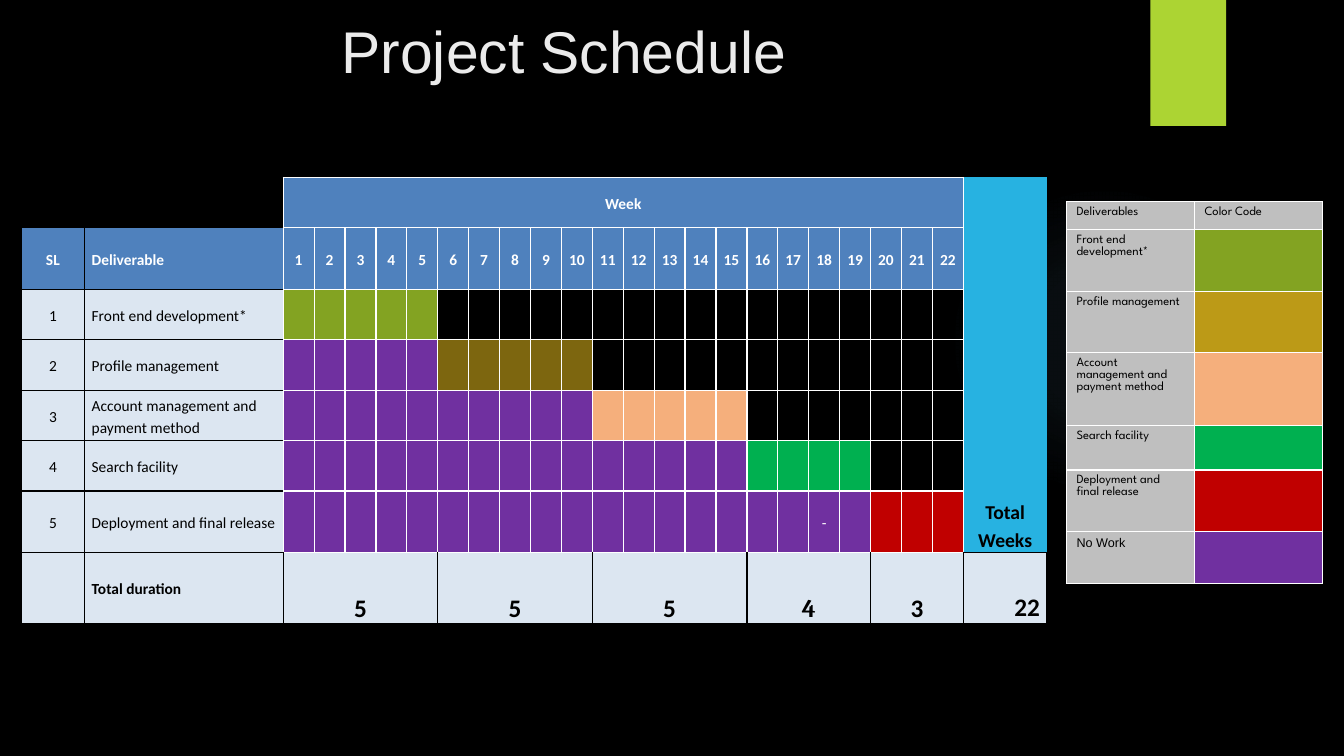
import lxml.etree
import pptx
import pptx.dml.color
import pptx.enum.shapes
import pptx.enum.text
import pptx.oxml
import pptx.oxml.ns
import pptx.util

Pt = pptx.util.Pt
ALIGN = pptx.enum.text.PP_ALIGN
ANCHOR = pptx.enum.text.MSO_ANCHOR
SHAPE = pptx.enum.shapes.MSO_SHAPE
rgb = pptx.dml.color.RGBColor.from_string
qn = pptx.oxml.ns.qn

COLORS = {
    "black": "000000", "white": "FFFFFF", "title": "EBEBEB", "accent": "ACD433",
    "glow": "7AC4F0", "header": "4F81BD", "total": "27B2E1", "label": "DCE6F1",
    "legend": "BFBFBF", "green": "83A322", "brown": "7D660F", "gold": "BC9A17",
    "peach": "F5AF7C", "emerald": "00B050", "red": "C00000", "idle": "7030A0",
}
# Border colours in the order left, right, top, bottom
WHITE = ["white"] * 4
BLACK = ["black"] * 4
NAME_EDGES = ["black", "white", "black", "black"]
SUM_EDGES = ["black", "black", "white", "black"]


def paint(cell, fill, edges):
    if fill:
        cell.fill.solid()
        cell.fill.fore_color.rgb = rgb(COLORS[fill])
    else:
        cell.fill.background()
    properties = cell._tc.get_or_add_tcPr()
    for place, (side, edge) in enumerate(zip("LRTB", edges)):
        line = lxml.etree.Element(qn(f"a:ln{side}"), w=str(Pt(1)))
        if edge:
            solid = lxml.etree.SubElement(line, qn("a:solidFill"))
            lxml.etree.SubElement(solid, qn("a:srgbClr"), val=COLORS[edge])
        else:
            lxml.etree.SubElement(line, qn("a:noFill"))
        properties.insert(place, line)


def write(cell, text, size=11, color="black", bold=False, align=ALIGN.CENTER,
          anchor=ANCHOR.MIDDLE, font="Calibri", spacing=1.15):
    cell.vertical_anchor = anchor
    if spacing:
        cell.margin_left = cell.margin_right = Pt(5)
        cell.margin_top = cell.margin_bottom = 0
    paragraph = cell.text_frame.paragraphs[0]
    paragraph.text = text
    paragraph.alignment = align
    paragraph.line_spacing = spacing
    run = paragraph.runs[0].font
    run.name, run.size, run.bold = font, Pt(size), bold
    run.color.rgb = rgb(COLORS[color])


presentation = pptx.Presentation()
presentation.slide_width, presentation.slide_height = Pt(960), Pt(540)
slide = presentation.slides.add_slide(presentation.slide_layouts[6])
slide.background.fill.solid()
slide.background.fill.fore_color.rgb = rgb(COLORS["black"])

# Backdrop: faint glow and accent bar
glow = slide.shapes.add_shape(SHAPE.OVAL, Pt(677.5), Pt(131.8), Pt(221.8), Pt(221.8))
accent = slide.shapes.add_shape(SHAPE.RECTANGLE, Pt(821.8), 0, Pt(54), Pt(90))
for decoration in (glow, accent):
    decoration.shadow.inherit = False
    decoration.line.fill.background()
accent.fill.solid()
accent.fill.fore_color.rgb = rgb(COLORS["accent"])
stops = "".join(
    f'<a:gs pos="{position}000"><a:srgbClr val="{COLORS["glow"]}">'
    f'<a:alpha val="{alpha}000"/></a:srgbClr></a:gs>'
    for position, alpha in ((0, 7), (36, 6), (69, 0)))
glow._element.spPr.find(qn("a:prstGeom")).addnext(pptx.oxml.parse_xml(
    f'<a:gradFill xmlns:a="http://schemas.openxmlformats.org/drawingml/2006/main">'
    f'<a:gsLst>{stops}</a:gsLst><a:path path="circle">'
    f'<a:fillToRect l="50000" t="50000" r="50000" b="50000"/></a:path></a:gradFill>'))

# Title
title = slide.shapes.add_textbox(Pt(236.9), Pt(7.2), Pt(388.8), Pt(55.4)).text_frame
title.word_wrap = True
title.text = "Project Schedule"
title_font = title.paragraphs[0].runs[0].font
title_font.name, title_font.size = "Arial", Pt(42)
title_font.color.rgb = rgb(COLORS["title"])

# Schedule: deliverable, first week, last week, colour, font of its total
phases = [
    ("Front end development*", 1, 5, "green", "Calibri"),
    ("Profile management", 6, 10, "brown", "Calibri"),
    ("Account management and payment method", 11, 15, "peach", "Calibri"),
    ("Search facility", 16, 19, "emerald", "Cambria"),
    ("Deployment and final release", 20, 22, "red", "Calibri"),
]
WEEKS = 22
TOTAL_COLUMN = WEEKS + 2
TOTAL_ROW = len(phases) + 2
schedule_widths = [45.4, 141.8] + [22.1] * WEEKS + [59.8]
schedule_heights = [36, 44, 36, 36, 36, 36, 44, 51]
schedule = slide.shapes.add_table(
    len(schedule_heights), len(schedule_widths), Pt(15.1), Pt(126.7),
    Pt(sum(schedule_widths)), Pt(sum(schedule_heights))).table

# Legend: label, colour
legend_entries = [
    ("Front end development*", "green"), ("Profile management", "gold"),
    ("Account management and payment method", "peach"), ("Search facility", "emerald"),
    ("Deployment and final release", "red"), ("No Work", "idle"),
]
legend_widths = [91.4, 91.4]
legend_heights = [20.2, 43.9, 43.9, 52, 31.8, 43.9, 37.4]
legend = slide.shapes.add_table(
    len(legend_heights), 2, Pt(761.8), Pt(144),
    Pt(sum(legend_widths)), Pt(sum(legend_heights))).table

for grid, widths, heights in ((schedule, schedule_widths, schedule_heights),
                              (legend, legend_widths, legend_heights)):
    grid.first_row = grid.horz_banding = False
    for column, width in zip(grid.columns, widths):
        column.width = Pt(width)
    for row, height in zip(grid.rows, heights):
        row.height = Pt(height)

# Schedule headings
paint(schedule.cell(0, 0), None, [None, None, None, "black"])
paint(schedule.cell(0, 1), None, [None, "white", None, "black"])
paint(schedule.cell(1, 0), "header", BLACK)
paint(schedule.cell(1, 1), "header", NAME_EDGES)
write(schedule.cell(1, 0), "SL", color="white", bold=True)
write(schedule.cell(1, 1), "Deliverable", color="white", bold=True, align=ALIGN.LEFT)
for week in range(1, WEEKS + 1):
    paint(schedule.cell(0, week + 1), "header", WHITE)
    paint(schedule.cell(1, week + 1), "header", WHITE)
    write(schedule.cell(1, week + 1), str(week), color="white", bold=True)
schedule.cell(0, 2).merge(schedule.cell(0, WEEKS + 1))
write(schedule.cell(0, 2), "Week", color="white", bold=True)

# Total weeks column
for row in range(TOTAL_ROW):
    paint(schedule.cell(row, TOTAL_COLUMN), "total", ["white", None, None, "black"])
schedule.cell(0, TOTAL_COLUMN).merge(schedule.cell(TOTAL_ROW - 1, TOTAL_COLUMN))
write(schedule.cell(0, TOTAL_COLUMN), "Total Weeks", size=14, bold=True,
      anchor=ANCHOR.BOTTOM)

# One row of bars and one total per deliverable
for number, (deliverable, first, last, bar, font) in enumerate(phases, 1):
    row = number + 1
    paint(schedule.cell(row, 0), "label", BLACK)
    paint(schedule.cell(row, 1), "label", NAME_EDGES)
    write(schedule.cell(row, 0), str(number))
    write(schedule.cell(row, 1), deliverable, align=ALIGN.LEFT)
    for week in range(1, WEEKS + 1):
        state = "idle" if week < first else bar if week <= last else None
        paint(schedule.cell(row, week + 1), state, WHITE)
        if first <= week <= last:
            paint(schedule.cell(TOTAL_ROW, week + 1), "label", SUM_EDGES)
    duration = schedule.cell(TOTAL_ROW, first + 1)
    duration.merge(schedule.cell(TOTAL_ROW, last + 1))
    write(duration, str(last - first + 1), size=18, bold=True,
          anchor=ANCHOR.BOTTOM, font=font)
write(schedule.cell(6, 19), "-", color="white")

# Total duration row
for column in (0, 1, TOTAL_COLUMN):
    paint(schedule.cell(TOTAL_ROW, column), "label", BLACK)
write(schedule.cell(TOTAL_ROW, 1), "Total duration", bold=True, align=ALIGN.LEFT)
grand_total = schedule.cell(TOTAL_ROW, TOTAL_COLUMN)
write(grand_total, str(WEEKS), size=18, bold=True, align=ALIGN.RIGHT)
grand_total.margin_top = Pt(25)

# Legend contents
for column, heading in enumerate(("Deliverables", "Color Code")):
    paint(legend.cell(0, column), "legend", WHITE)
    write(legend.cell(0, column), heading, size=9, align=ALIGN.LEFT,
          anchor=ANCHOR.TOP, font="League Spartan", spacing=None)
for row, (label, swatch) in enumerate(legend_entries, 1):
    paint(legend.cell(row, 0), "legend", WHITE)
    paint(legend.cell(row, 1), swatch, WHITE)
    write(legend.cell(row, 0), label, size=9, align=ALIGN.LEFT, anchor=ANCHOR.TOP,
          font="Arial" if swatch == "idle" else "League Spartan", spacing=None)

presentation.save("out.pptx")
